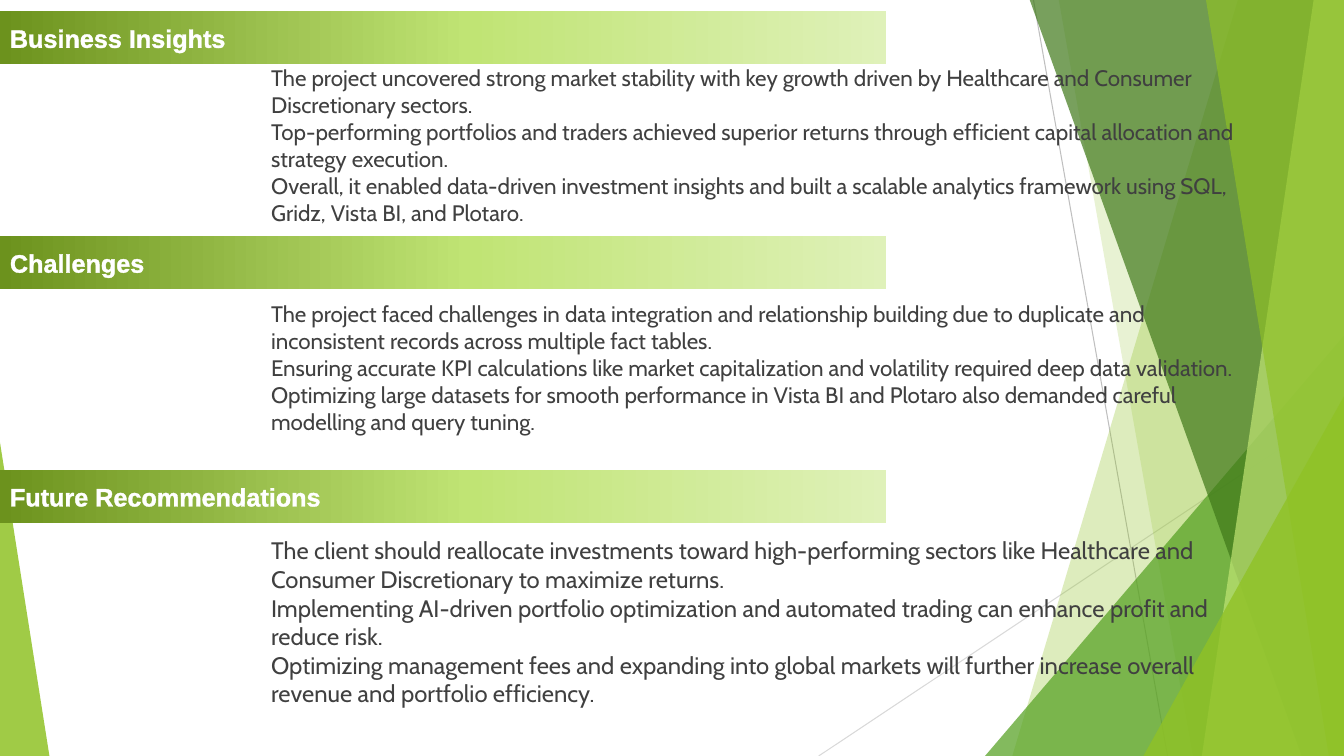
from lxml import etree
from pptx import Presentation, util as u
from pptx.dml.color import RGBColor
from pptx.enum import shapes as sh, text as tx
from pptx.oxml.ns import qn

# Content: heading, bar top, body top, body height, text size, body lines
PARTS = [
    ("Business Insights", 11, 59, 181, 16, [
        "The project uncovered strong market stability with key growth driven by Healthcare and Consumer Discretionary sectors.",
        "Top-performing portfolios and traders achieved superior returns through efficient capital allocation and strategy execution.",
        "Overall, it enabled data-driven investment insights and built a scalable analytics framework using SQL, Gridz, Vista BI, and Plotaro."]),
    ("Challenges", 234, 293, 186, 16, [
        "The project faced challenges in data integration and relationship building due to duplicate and inconsistent records across multiple fact tables.",
        "Ensuring accurate KPI calculations like market capitalization and volatility required deep data validation.",
        "Optimizing large datasets for smooth performance in Vista BI and Plotaro also demanded careful modelling and query tuning."]),
    ("Future Recommendations", 466, 527, 212, 17, [
        "The client should reallocate investments toward high-performing sectors like Healthcare and Consumer Discretionary to maximize returns.",
        "Implementing AI-driven portfolio optimization and automated trading can enhance profit and reduce risk.",
        "Optimizing management fees and expanding into global markets will further increase overall revenue and portfolio efficiency."]),
]

PX = 9144  # 100 px to the inch
WIDE, HIGH = 1333, 750
BAR_W, BAR_H = 879, 53
BODY_X, BODY_W = 259, 999

WHITE = RGBColor(0xFF, 0xFF, 0xFF)
INK = RGBColor(0x40, 0x40, 0x40)
GREY = RGBColor(0xBF, 0xBF, 0xBF)
PALE = RGBColor(0xD9, 0xD9, 0xD9)
LIME = RGBColor(0x90, 0xC2, 0x26)
GREEN = RGBColor(0x54, 0xA0, 0x21)
DARK = RGBColor(0x3F, 0x78, 0x19)
LIGHT = RGBColor(0xC0, 0xE4, 0x74)
FADE = [(0, RGBColor(0x6C, 0x92, 0x1D)), (53, LIGHT),
        (100, RGBColor(0xDF, 0xF1, 0xB9))]

# Decor: lines (ends, colour); bands (top x, bottom x) reach the right edge;
# triangles (box, apex)
LINES = [((1025, 0, 1158, HIGH), GREY), ((WIDE, 403, 812, HIGH), PALE)]
DECOR = [
    ("band", (1228, 1004), LIME, 30),
    ("band", (1050, 1183), LIME, 20),
    ("peak", (977, 333, 356, 417, 1), GREEN, 72),
    ("band", (1021, 1291), DARK, 70),
    ("band", (1303, 1192), LIGHT, 70),
    ("band", (1196, 1318), LIME, 65),
    ("peak", (1134, 393, 199, 357, 1), LIME, 80),
    ("peak", (0, 439, 49, 311, 0), LIME, 85),
]


def emu(*vals):
    return [v * PX for v in vals]


def sub(node, tag, **attrs):
    return etree.SubElement(node, qn(tag), attrs)


def paint(shape, color, alpha):
    shape.shadow.inherit = False
    shape.line.fill.background()
    shape.fill.solid()
    shape.fill.fore_color.rgb = color
    tint = shape.fill._xPr.find(qn("a:solidFill"))[0]
    sub(tint, "a:alpha", val=str(alpha * 1000))


def add_band(top, foot):
    pen = slide.shapes.build_freeform(top, -1, scale=PX)
    pen.add_line_segments([(WIDE, -1), (WIDE, HIGH), (foot, HIGH)], close=True)
    return pen.convert_to_shape()


def add_peak(x, y, w, h, apex):
    kind = sh.MSO_SHAPE.ISOSCELES_TRIANGLE
    shape = slide.shapes.add_shape(kind, *emu(x, y, w, h))
    shape.adjustments[0] = apex
    return shape


def style(para, face, size, color):
    for run in para.runs:
        run.font.name, run.font.size = face, u.Pt(size)
        run.font.color.rgb = color


def fill_body(shape, top, high, size, lines):
    shape.left, shape.top, shape.width, shape.height = emu(BODY_X, top, BODY_W, high)
    frame = shape.text_frame
    frame.word_wrap = True
    frame.auto_size = tx.MSO_AUTO_SIZE.NONE
    frame.vertical_anchor = tx.MSO_ANCHOR.TOP
    para = frame.paragraphs[0]
    para.text = "\v".join(lines)
    para.space_before = u.Pt(10)
    style(para, "Cabin", size, INK)
    props = para._p.get_or_add_pPr()
    props.set("marL", "0")
    props.set("indent", "0")
    sub(props, "a:buNone")


def add_bar(head, top):
    bar = slide.shapes.add_shape(sh.MSO_SHAPE.RECTANGLE, *emu(0, top, BAR_W, BAR_H))
    bar.shadow.inherit = False
    bar.line.fill.background()
    bar.fill.gradient()
    bar.fill.gradient_angle = 0
    stops = bar.fill._xPr.find(qn("a:gradFill")).find(qn("a:gsLst"))
    for old in list(stops):
        stops.remove(old)
    for pos, color in FADE:
        stop = sub(stops, "a:gs", pos=str(pos * 1000))
        sub(stop, "a:srgbClr", val=str(color))
    frame = bar.text_frame
    frame.word_wrap = True
    frame.vertical_anchor = tx.MSO_ANCHOR.MIDDLE
    para = frame.paragraphs[0]
    para.text = head
    para.alignment = tx.PP_ALIGN.LEFT
    style(para, "Arial", 18, WHITE)
    run = para.runs[0]
    run.font.bold = True
    # White outline of the letters
    props = run._r.get_or_add_rPr()
    edge = sub(props, "a:ln", w=str(u.Pt(0.75)))
    sub(sub(edge, "a:solidFill"), "a:srgbClr", val=str(WHITE))
    props.insert(0, edge)


deck = Presentation()
deck.slide_width, deck.slide_height = emu(WIDE, HIGH)
slide = deck.slides.add_slide(deck.slide_layouts[1])
title, main = slide.placeholders
title._element.getparent().remove(title._element)

# Backdrop
for ends, color in LINES:
    line = slide.shapes.add_connector(sh.MSO_CONNECTOR.STRAIGHT, *emu(*ends))
    line.line.color.rgb = color
    line.line.width = u.Pt(0.75)
    sub(line._element.spPr, "a:effectLst")
for kind, form, color, alpha in DECOR:
    make = add_band if kind == "band" else add_peak
    paint(make(*form), color, alpha)

# Body texts, above the backdrop
slide.shapes._spTree.append(main._element)
for i, (head, bar_y, top, high, size, lines) in enumerate(PARTS):
    box = slide.shapes.add_textbox(0, 0, PX, PX) if i else main
    fill_body(box, top, high, size, lines)

# Heading bars
for head, bar_y, *rest in PARTS:
    add_bar(head, bar_y)

deck.save("out.pptx")
